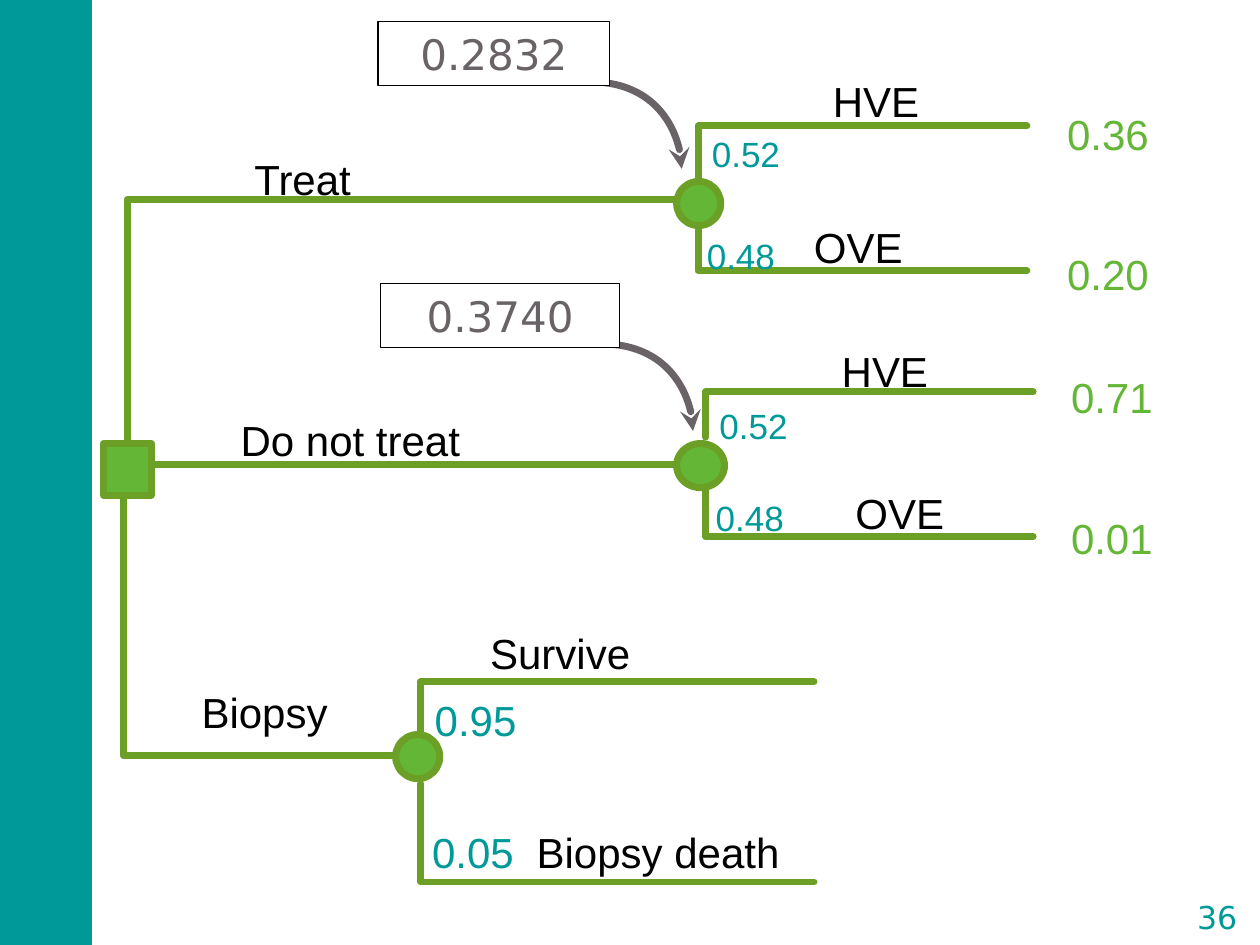
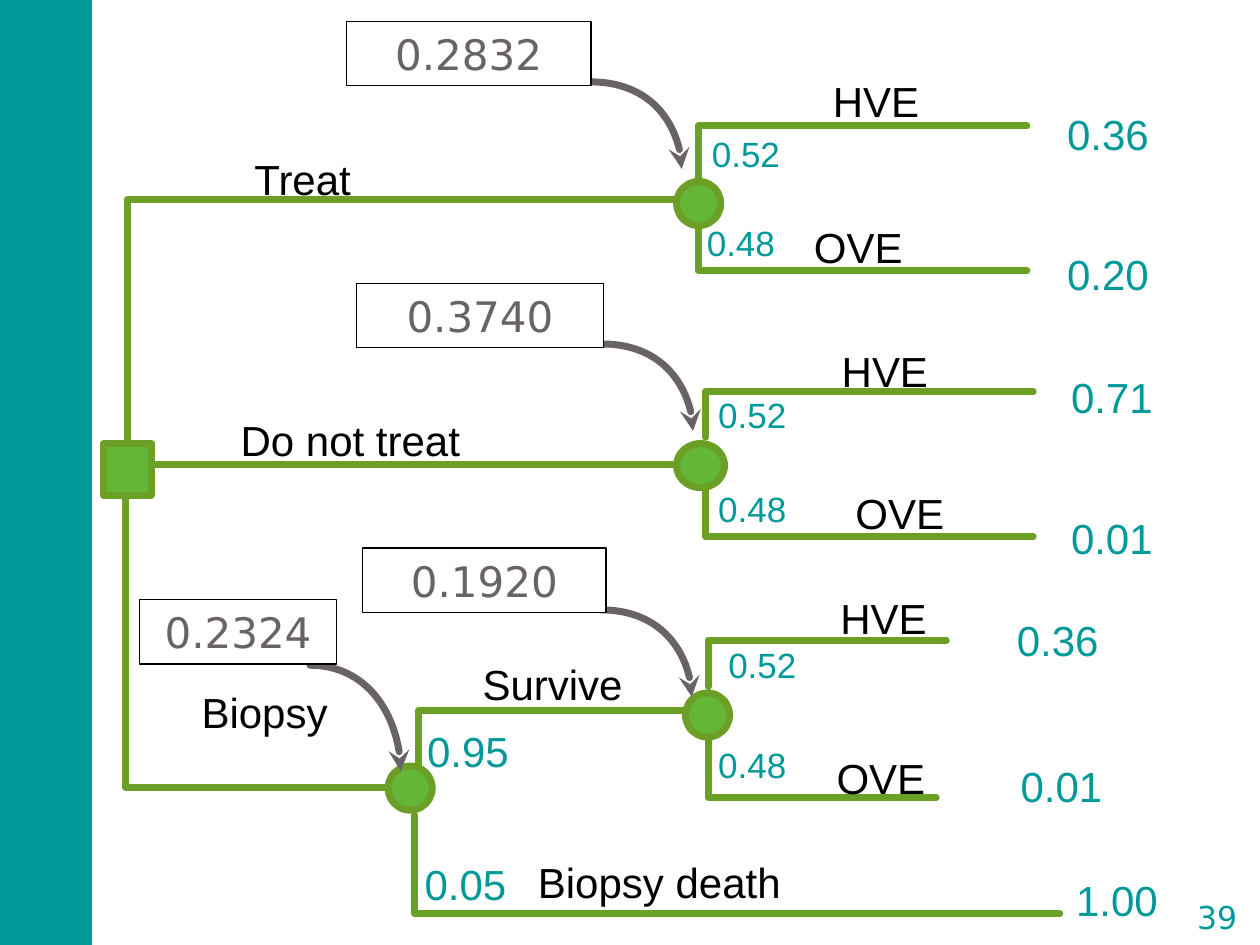
from dataclasses import dataclass

from lxml import etree
from pptx import Presentation
from pptx.dml.color import RGBColor
from pptx.enum.shapes import MSO_SHAPE
from pptx.enum.text import MSO_ANCHOR, PP_ALIGN
from pptx.oxml.ns import qn
from pptx.util import Emu, Inches, Pt

RECTANGLE = MSO_SHAPE.RECTANGLE
OVAL = MSO_SHAPE.OVAL
BRACKETS = MSO_SHAPE.DOUBLE_BRACKET
MIDDLE = MSO_ANCHOR.MIDDLE
CENTER = PP_ALIGN.CENTER
LEFT = PP_ALIGN.LEFT

COLORS = {
    "teal": "009999",
    "branch": "6B9F25",
    "green": "64B636",
    "gray": "696367",
    "black": "000000",
    "white": "FFFFFF",
}
TEXT_FONT = "Arial"
NUMBER_FONT = "DejaVu Sans"

# Grid of 100 columns by 75 rows
SLIDE_WIDTH, SLIDE_HEIGHT = Inches(10), Inches(7.5)
COLUMN, ROW = SLIDE_WIDTH / 100, SLIDE_HEIGHT / 75
LINE_HEIGHT = {20: 4.0, 24: 4.6}  # rows
BRANCH_WIDTH = 4  # points


@dataclass
class Branch:
    """One arm of a fork; each place is (column, row, width) from the fork's corner."""
    name: str
    name_at: tuple
    chance: str
    chance_at: tuple
    reach: float
    payoff: str = ""
    payoff_at: tuple = ()
    stem_shift: float = 0


@dataclass
class Fork:
    """A chance node with two branches; box and node are in grid units."""
    box: tuple  # left, top, height
    node: tuple  # left, top, width, relative to the box
    stems: tuple  # upper and lower stem lengths
    branches: tuple
    chance_size: int = 20


@dataclass
class Callout:
    text: str
    box: tuple  # left, top, width
    arrow: tuple  # left, top, height


def grid(*lengths):
    """Turn alternating columns and rows into slide lengths."""
    return [Emu(round(length * (ROW if index % 2 else COLUMN)))
            for index, length in enumerate(lengths)]


def color(name):
    return RGBColor.from_string(COLORS[name])


def paint(shape, fill, line, width):
    shape.shadow.inherit = False
    if fill:
        shape.fill.solid()
        shape.fill.fore_color.rgb = color(fill)
    else:
        shape.fill.background()
    if line:
        shape.line.color.rgb = color(line)
        shape.line.width = Pt(width)
    else:
        shape.line.fill.background()


def add_block(slide, kind, box, fill, line=None, width=0):
    shape = slide.shapes.add_shape(kind, *grid(*box))
    paint(shape, fill, line, width)
    return shape


def write(shape, text, size, ink, font, align, margins):
    frame = shape.text_frame
    frame.word_wrap = True
    frame.margin_left = frame.margin_right = Inches(margins[0])
    frame.margin_top = frame.margin_bottom = Inches(margins[1])
    paragraph = frame.paragraphs[0]
    paragraph.alignment = align
    run = paragraph.add_run()
    run.text = text
    run.font.size = Pt(size)
    run.font.name = font
    run.font.color.rgb = color(ink)


def add_label(slide, text, place, size=24, ink="black", origin=(0, 0)):
    left, top, width = place
    box = (origin[0] + left, origin[1] + top, width, LINE_HEIGHT[size])
    shape = slide.shapes.add_textbox(*grid(*box))
    write(shape, text, size, ink, TEXT_FONT, LEFT, (0.06, 0.03))


def add_path(slide, points, line):
    """Draw an open outline through grid points."""
    start, *others = [grid(*point) for point in points]
    builder = slide.shapes.build_freeform(*start)
    builder.add_line_segments(others, close=False)
    shape = builder.convert_to_shape()
    paint(shape, None, line, BRANCH_WIDTH)
    shape.line._get_or_add_ln().set("cap", "rnd")
    return shape


def add_elbow(slide, stem, start, arm, end):
    add_path(slide, [(stem, start), (stem, arm), (end, arm)], "branch")


def add_curved_arrow(slide, box):
    left, top, height = box
    width = 7.2
    shape = add_path(slide, [(left, top), (left + width, top + height)], "gray")
    # Bend the straight segment into a quarter turn
    segment = next(shape._element.iter(qn("a:lnTo")))
    segment.tag = qn("a:cubicBezTo")
    segment.clear()
    for x_share, y_share in [(0.55, 0), (1, 0.45), (1, 1)]:
        point = etree.SubElement(segment, qn("a:pt"))
        point.set("x", str(round(shape.width * x_share)))
        point.set("y", str(round(shape.height * y_share)))
    tail = etree.SubElement(shape.line._get_or_add_ln(), qn("a:tailEnd"))
    tail.set("type", "stealth")


def add_callout(slide, callout):
    add_curved_arrow(slide, callout.arrow)
    box = add_block(slide, RECTANGLE, (*callout.box, 5.1), "white", "black", 0.75)
    write(box, callout.text, 24, "gray", NUMBER_FONT, CENTER, (0.1, 0.05))


def add_fork(slide, fork, payoff_ink):
    left, top, height = fork.box
    upper_stem, lower_stem = fork.stems
    starts = (top + upper_stem, top + height - lower_stem)
    arms = (top, top + height)
    for branch, start, arm in zip(fork.branches, starts, arms):
        stem = left + branch.stem_shift
        add_elbow(slide, stem, start, arm, stem + branch.reach)
    node_left, node_top, node_width = fork.node
    add_block(slide, OVAL, (left + node_left, top + node_top, node_width, 3.5),
              "green", "branch", BRANCH_WIDTH)
    for branch in fork.branches:
        origin = (left, top)
        add_label(slide, branch.name, branch.name_at, origin=origin)
        add_label(slide, branch.chance, branch.chance_at, fork.chance_size, "teal", origin)
        if branch.payoff:
            add_label(slide, branch.payoff, (*branch.payoff_at, 8.5), 24, payoff_ink, origin)


def add_decision(slide, biopsy_stem, biopsy_arm):
    # Branches to the three choices
    add_elbow(slide, 9.5, 38.3, 36.9, 56.4)
    add_elbow(slide, biopsy_stem, 38.3, biopsy_arm, biopsy_stem + 22.3)
    add_elbow(slide, 10.1, 37.9, 15.8, 56)
    add_block(slide, RECTANGLE, (8.2, 35.2, 3.8, 4.1), "green", "branch", BRANCH_WIDTH)
    # Choice names
    for name, place in [("Treat", (19.6, 11.9, 9)),
                        ("Do not treat", (18.5, 32.6, 20.6)),
                        ("Biopsy", (15.4, 54.2, 11.6))]:
        add_label(slide, name, place)


def add_frame(slide, page):
    # Side band and page number
    add_block(slide, RECTANGLE, (0, 0, 7.3, 75), "teal")
    number = add_block(slide, BRACKETS, (93.6, 70.6, 6, 4.3), None, "white", 1.5)
    number.adjustments[0] = 0.18
    write(number, page, 18, "teal", NUMBER_FONT, CENTER, (0, 0))
    number.text_frame.vertical_anchor = MIDDLE


def treat_fork(lower_chance_row):
    return Fork((55.4, 10, 11.5), (-1.7, 4.4, 3.5), (4.3, 5.3), (
        Branch("HVE", (10.1, -4.3, 8.2), "0.52", (0.5, 0.2, 8.7), 26.1, "0.36", (28.7, -1.7)),
        Branch("OVE", (8.6, 7.3, 10.4), "0.48", (0.1, lower_chance_row, 7.3), 26.1,
               "0.20", (28.7, 9.4))))


def no_treat_fork(upper_chance, lower_chance):
    return Fork((56, 31.1, 11.5), (-2.3, 4.1, 3.8), (3.6, 5.4), (
        Branch("HVE", (10.2, -4, 8.2), "0.52", (*upper_chance, 7.3), 26, "0.71", (28.4, -1.9)),
        Branch("OVE", (11.3, 7.3, 10.4), "0.48", (*lower_chance, 7.7), 26,
               "0.01", (28.4, 9.3))))


def add_tree_slide(presentation, page, biopsy, forks, callouts, payoff_ink):
    slide = presentation.slides.add_slide(presentation.slide_layouts[6])
    add_frame(slide, page)
    add_decision(slide, *biopsy)
    for fork in forks:
        add_fork(slide, fork, payoff_ink)
    for callout in callouts:
        add_callout(slide, callout)


def main():
    presentation = Presentation()
    presentation.slide_width, presentation.slide_height = SLIDE_WIDTH, SLIDE_HEIGHT
    treat_arrow, no_treat_arrow = (46.9, 6.5, 6.9), (47.8, 27.3, 6.9)

    # First two choices valued
    biopsy_fork = Fork((33.4, 54.1, 15.9), (-2, 4.2, 3.5), (4.6, 7.8), (
        Branch("Survive", (4.9, -4.6, 17.5), "0.95", (0.5, 0.7, 9.9), 31.2),
        Branch("Biopsy death", (8.6, 11.2, 20.7), "0.05", (0.3, 11.2, 10.1), 31.2)), 24)
    add_tree_slide(
        presentation, "36", (9.8, 60),
        [treat_fork(8.3), no_treat_fork((0.5, 0.7), (0.2, 8)), biopsy_fork],
        [Callout("0.2832", (30, 1.7, 18.4), treat_arrow),
         Callout("0.3740", (30.2, 22.5, 19), no_treat_arrow)],
        "green")

    # All choices valued
    biopsy_fork = Fork((33.2, 56.4, 16.1), (-2.4, 4.4, 3.5), (4.6, 7.8), (
        Branch("Survive", (4.5, -4.4, 16.5), "0.95", (0.1, 0.9, 8.7), 22),
        Branch("Biopsy death", (8.9, 11.3, 20.7), "0.05", (-0.1, 11.4, 8.9), 51.2,
               "1.00", (51.6, 12.7), -0.3)), 24)
    survive_fork = Fork((56.2, 50.8, 12.5), (-1.8, 4.2, 3.5), (3.7, 5.4), (
        Branch("HVE", (9.9, -4.1, 9.1), "0.52", (1, 0, 7.9), 18.9, "0.36", (23.9, -2.3)),
        Branch("OVE", (9.6, 8.6, 10.4), "0.48", (0.2, 7.9, 7.3), 18.1, "0.01", (24.2, 9.3))))
    add_tree_slide(
        presentation, "39", (10, 62.5),
        [treat_fork(7.3), no_treat_fork((0.4, -0.2), (0.4, 7.3)), biopsy_fork, survive_fork],
        [Callout("0.2832", (27.5, 1.7, 19.4), treat_arrow),
         Callout("0.3740", (28.3, 22.5, 19.6), no_treat_arrow),
         Callout("0.1920", (28.8, 43.5, 19.3), (47.7, 48.4, 6.9)),
         Callout("0.2324", (11.1, 47.6, 15.6), (24.6, 52.8, 8.4))],
        "teal")
    presentation.save("out.pptx")


if __name__ == "__main__":
    main()
